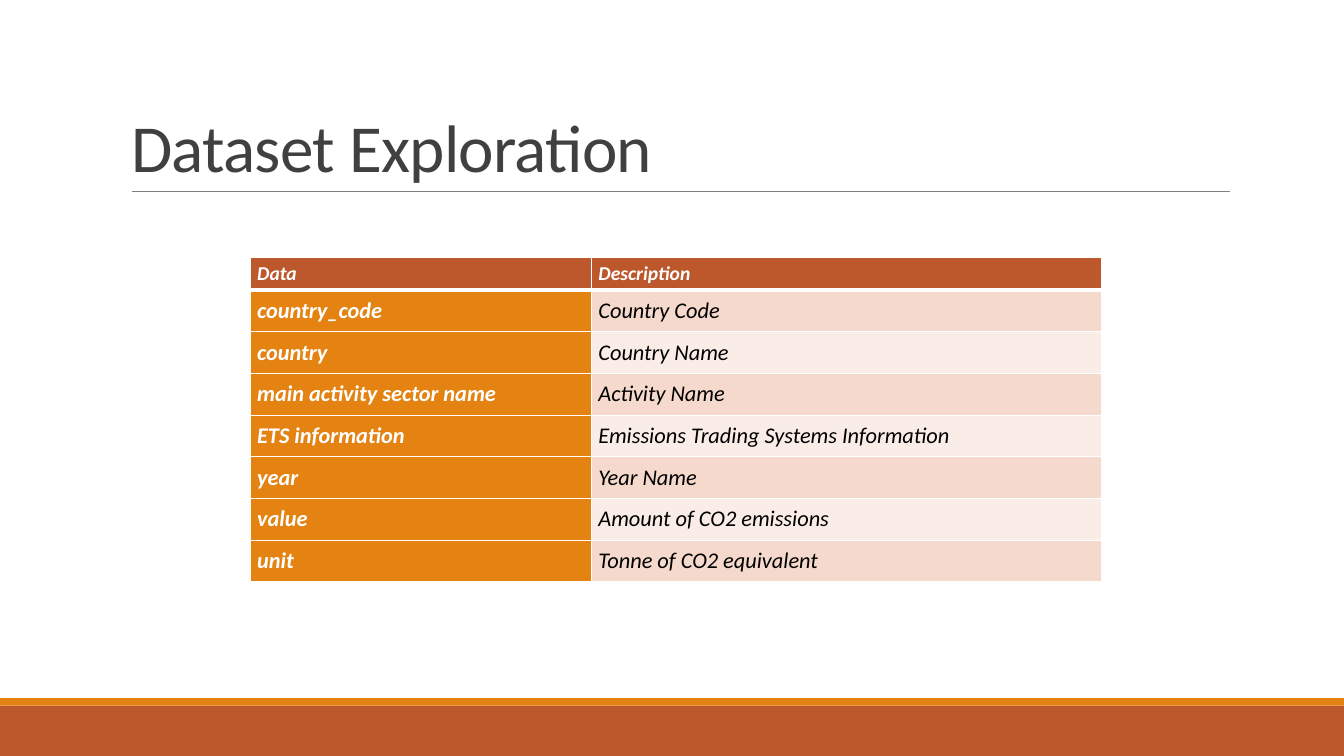
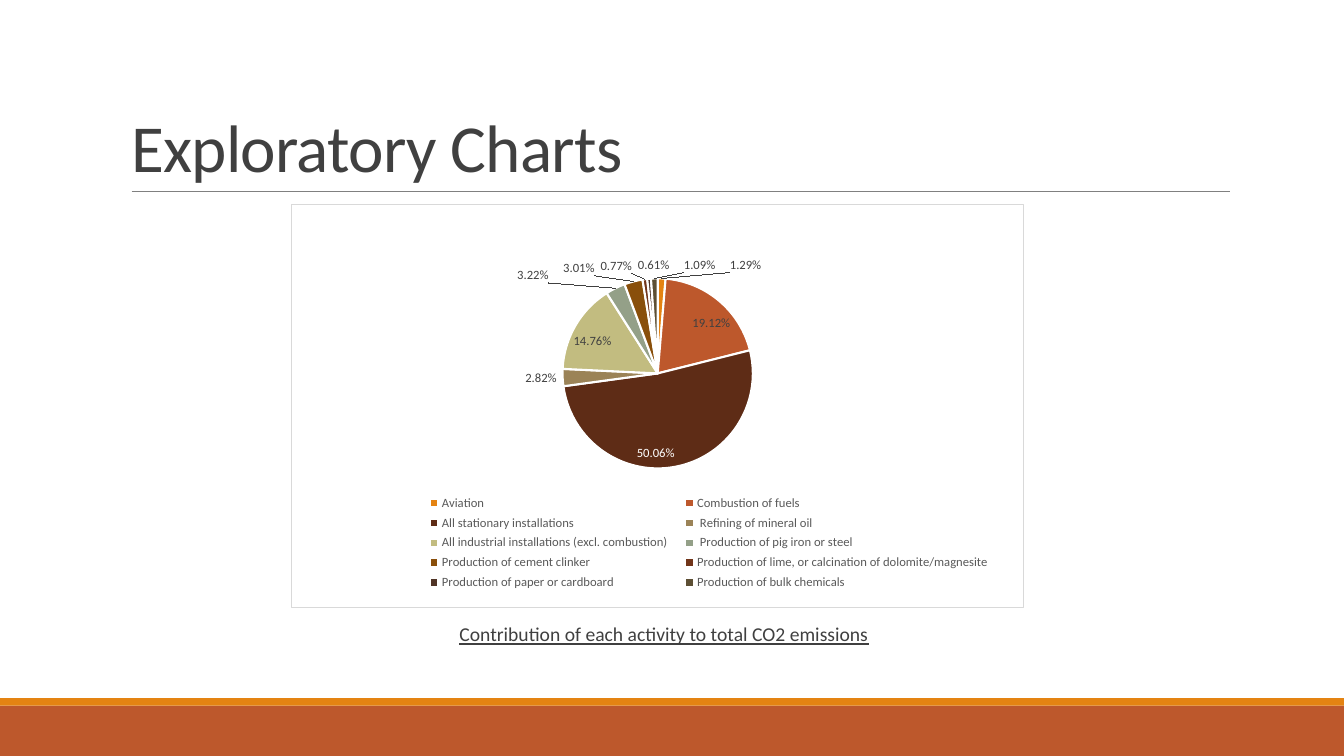
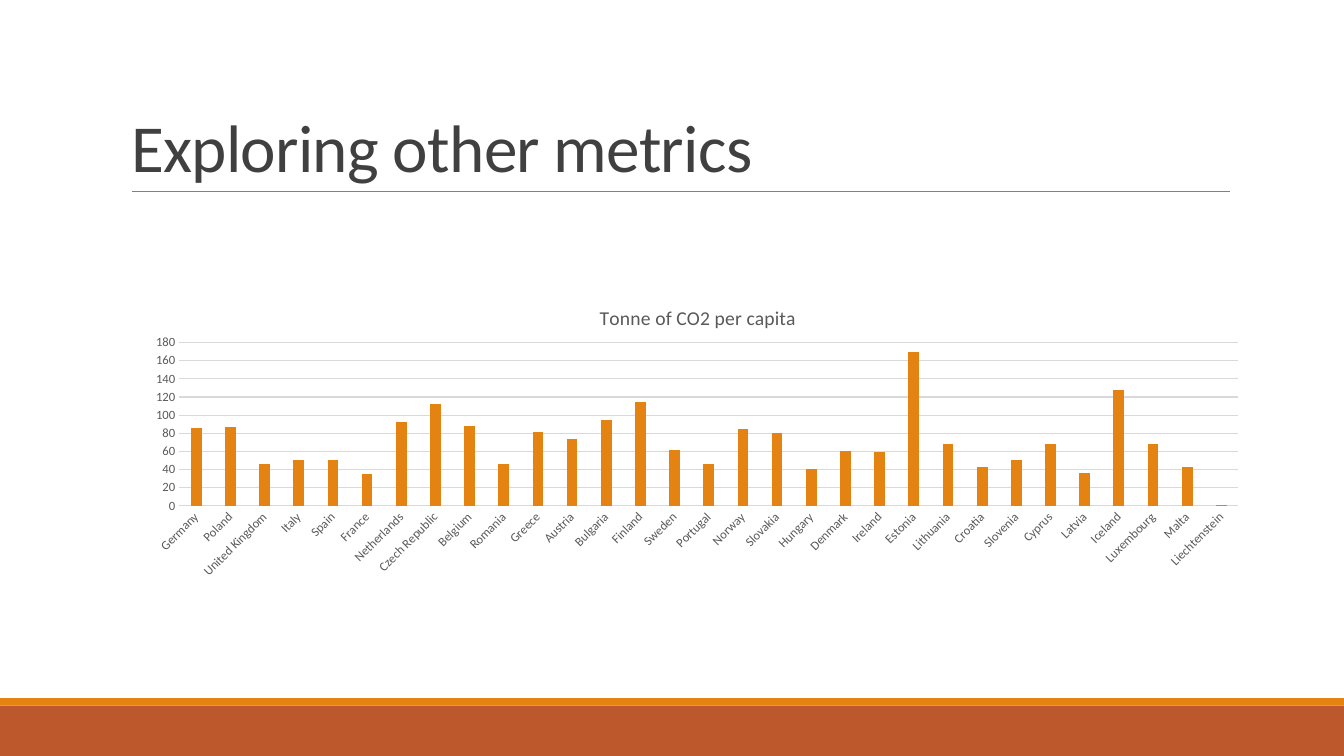
from lxml import etree
from pptx import Presentation
from pptx.chart.data import CategoryChartData
from pptx.dml.color import RGBColor
from pptx.enum.chart import XL_CHART_TYPE, XL_LABEL_POSITION, XL_LEGEND_POSITION, XL_TICK_MARK
from pptx.enum.shapes import MSO_CONNECTOR, MSO_SHAPE
from pptx.enum.text import MSO_ANCHOR, MSO_AUTO_SIZE, PP_ALIGN
from pptx.oxml import parse_xml
from pptx.oxml.ns import nsdecls, qn
from pptx.util import Cm, Pt

PIE, COLUMN = XL_CHART_TYPE.PIE, XL_CHART_TYPE.COLUMN_CLUSTERED
BEST_FIT, INSIDE_END = XL_LABEL_POSITION.BEST_FIT, XL_LABEL_POSITION.INSIDE_END
BOTTOM_LEGEND, NO_TICK = XL_LEGEND_POSITION.BOTTOM, XL_TICK_MARK.NONE
RECT, STRAIGHT = MSO_SHAPE.RECTANGLE, MSO_CONNECTOR.STRAIGHT
BOTTOM, MIDDLE = MSO_ANCHOR.BOTTOM, MSO_ANCHOR.MIDDLE
LEFT, CENTER, NO_FIT = PP_ALIGN.LEFT, PP_ALIGN.CENTER, MSO_AUTO_SIZE.NONE

ORANGE, RUST, DARK, GRAY, PALE = "E48312", "BD582C", "404040", "595959", "D9D9D9"
WHITE, BLACK = "FFFFFF", "000000"
BANDS = ["F5D9CC", "FAEDE7"]


def paint(target, color, **formats):
    """Colour a fill, line or font, then set its other format values."""
    if hasattr(target, "solid"):
        target.solid()
        target.fore_color.rgb = RGBColor.from_string(color)
    else:
        target.color.rgb = RGBColor.from_string(color)
    for key, value in formats.items():
        setattr(target, key, value)


def place_chart_part(parent, index, target="", **fractions):
    """Give a chart part a manual layout, in fractions of the chart."""
    old = parent.find(qn("c:layout"))
    if old is not None:
        parent.remove(old)
    layout = etree.Element(qn("c:layout"))
    manual = etree.SubElement(layout, qn("c:manualLayout"))
    if target:
        etree.SubElement(manual, qn("c:layoutTarget"), val=target)
    for key in "xy":
        etree.SubElement(manual, qn(f"c:{key}Mode"), val="edge")
    for key, value in fractions.items():
        etree.SubElement(manual, qn(f"c:{key}"), val=str(value))
    parent.insert(index, layout)


prs = Presentation()
prs.slide_width, prs.slide_height = Cm(33.87), Cm(19.05)
layout = prs.slide_layouts[5]

# Slides and their titles
slides = []
for title in ["Dataset Exploration", "Exploratory Charts", "Exploring other metrics"]:
    s = prs.slides.add_slide(layout)
    sp = s.shapes.title
    sp.left, sp.top, sp.width, sp.height = Cm(3.05), Cm(0.78), Cm(27.94), Cm(4.04)
    tf = sp.text_frame
    tf.text = title
    tf.vertical_anchor, tf.auto_size = BOTTOM, NO_FIT
    p = tf.paragraphs[0]
    p.alignment, p.line_spacing = LEFT, 0.85
    r = p.runs[0]
    paint(r.font, DARK, name="Calibri", size=Pt(48))
    r.font._element.set("spc", "-50")
    slides.append(s)
table_slide, pie_slide, column_slide = slides

# Bands and title rule, drawn once and moved to the shared layout
shared = []
for top, height, color in [(17.78, 1.27, RUST), (17.59, 0.19, ORANGE)]:
    sp = table_slide.shapes.add_shape(RECT, 0, Cm(top), prs.slide_width, Cm(height))
    sp.shadow.inherit = False
    paint(sp.fill, color)
    sp.line.fill.background()
    shared.append(sp)
rule = table_slide.shapes.add_connector(STRAIGHT, Cm(3.32), Cm(4.82), Cm(31), Cm(4.82))
paint(rule.line, "808080", width=Pt(0.5))
etree.SubElement(rule.element.spPr, qn("a:effectLst"))
shared.append(rule)
for sp in shared:
    layout.shapes.element.append(sp.element)

# Table of columns in the dataset
rows = [
    ("Data", "Description"),
    ("country_code", "Country Code"),
    ("country", "Country Name"),
    ("main activity sector name", "Activity Name"),
    ("ETS information", "Emissions Trading Systems Information"),
    ("year", "Year Name"),
    ("value", "Amount of CO2 emissions"),
    ("unit", "Tonne of CO2 equivalent"),
]
table = table_slide.shapes.add_table(len(rows), 2, Cm(6.3), Cm(6.48), Cm(21.47), Cm(8.18)).table
table.columns[0].width, table.columns[1].width = Cm(8.6), Cm(12.87)
for i, row in enumerate(rows):
    table.rows[i].height = Cm(1.05 if i else 0.83)
    for j, text in enumerate(row):
        cell = table.cell(i, j)
        cell.text = text
        cell.vertical_anchor = MIDDLE
        cell.margin_left = cell.margin_right = Cm(0.18)
        cell.margin_top = cell.margin_bottom = 0
        for side in "LRTB":
            heavy = (i, side) in [(0, "B"), (1, "T")]
            cell._tc.get_or_add_tcPr().append(parse_xml(
                f'<a:ln{side} {nsdecls("a")} w="{Pt(3 if heavy else 1)}"><a:solidFill>'
                f'<a:srgbClr val="{WHITE}"/></a:solidFill></a:ln{side}>'))
        strong = i == 0 or j == 0
        paint(cell.fill, RUST if i == 0 else ORANGE if j == 0 else BANDS[(i - 1) % 2])
        paint(cell.text_frame.paragraphs[0].runs[0].font, WHITE if strong else BLACK,
              name="Calibri", size=Pt(16 if i else 14), bold=strong, italic=True)

# Pie of activities
activities = [
    ("Aviation", 0.0129, ORANGE),
    ("Combustion of fuels", 0.1912, RUST),
    ("All stationary installations", 0.5006, "5E2C16"),
    (" Refining of mineral oil", 0.0282, "9B8357"),
    ("All industrial installations (excl. combustion)", 0.1476, "C2BC80"),
    (" Production of pig iron or steel", 0.0322, "94A088"),
    ("Production of cement clinker", 0.0301, "894F0B"),
    ("Production of lime, or calcination of dolomite/magnesite", 0.0077, "71351A"),
    ("Production of paper or cardboard", 0.0061, "503426"),
    ("Production of bulk chemicals", 0.0109, "5D4F34"),
]
data = CategoryChartData(number_format="0.00%")
data.categories = [name for name, _, _ in activities]
data.add_series("Series 1", [value for _, value, _ in activities])
chart = pie_slide.shapes.add_chart(PIE, Cm(7.34), Cm(5.13), Cm(18.47), Cm(10.19), data).chart
paint(chart.font, BLACK, name="Calibri", size=Pt(10))
chart.has_title = False
chart.element.find(qn("c:chart")).addnext(parse_xml(
    f'<c:spPr {nsdecls("c", "a")}><a:solidFill><a:srgbClr val="{WHITE}"/></a:solidFill>'
    f'<a:ln w="{Pt(0.75)}"><a:solidFill><a:srgbClr val="{PALE}"/></a:solidFill></a:ln></c:spPr>'))
place_chart_part(chart.element.find(".//" + qn("c:plotArea")), 0, "inner",
                 x=0.37, y=0.17, w=0.26, h=0.5)

chart.has_legend = True
legend = chart.legend
legend.position, legend.include_in_layout = BOTTOM_LEGEND, False
paint(legend.font, GRAY, name="Calibri", size=Pt(9))
place_chart_part(chart.element.find(".//" + qn("c:legend")), 1, x=0.17, y=0.71, w=0.8, h=0.26)

plot = chart.plots[0]
plot.vary_by_categories = True
series = plot.series[0]
for i, (_, _, color) in enumerate(activities):
    point = series.points[i]
    paint(point.format.fill, color)
    paint(point.format.line, WHITE, width=Pt(1.5))
labels = series.data_labels
labels.show_value, labels.position = True, BEST_FIT
labels.number_format, labels.number_format_is_linked = "0.00%", False
paint(labels.font, DARK, name="Calibri", size=Pt(9))
largest = series.points[2].data_label
paint(largest.font, WHITE, name="Calibri", size=Pt(9))
largest.position = INSIDE_END

caption = pie_slide.shapes.add_textbox(Cm(3.17), Cm(15.62), Cm(27.13), Cm(1.57))
tf = caption.text_frame
tf.word_wrap = True
p = tf.paragraphs[0]
p.alignment, p.line_spacing = CENTER, 0.9
r = p.add_run()
r.text = "Contribution of each activity to total CO2 emissions"
paint(r.font, DARK, name="Calibri", size=Pt(14), underline=True)

# Columns of emissions by country
per_capita = {
    "Germany": 86, "Poland": 87, "United Kingdom": 46, "Italy": 50, "Spain": 51,
    "France": 35, "Netherlands": 92, "Czech Republic": 112, "Belgium": 88,
    "Romania": 46, "Greece": 81, "Austria": 74, "Bulgaria": 95, "Finland": 114,
    "Sweden": 61, "Portugal": 46, "Norway": 85, "Slovakia": 80, "Hungary": 41,
    "Denmark": 60, "Ireland": 59, "Estonia": 170, "Lithuania": 68, "Croatia": 43,
    "Slovenia": 51, "Cyprus": 68, "Latvia": 36, "Iceland": 128, "Luxembourg": 68,
    "Malta": 43, "Liechtenstein": 1,
}
data = CategoryChartData()
data.categories = list(per_capita)
data.add_series("Series 1", list(per_capita.values()))
chart = column_slide.shapes.add_chart(COLUMN, Cm(3.38), Cm(7.11), Cm(28.4), Cm(7.62), data).chart
paint(chart.font, BLACK, name="Calibri", size=Pt(10))
chart.has_legend = False
chart.has_title = True
tf = chart.chart_title.text_frame
tf.text = "Tonne of CO2 per capita"
paint(tf.paragraphs[0].runs[0].font, GRAY, name="Calibri", size=Pt(14), bold=False)
place_chart_part(chart.element.find(".//" + qn("c:title")), 1, x=0.41, y=0.06)
place_chart_part(chart.element.find(".//" + qn("c:plotArea")), 0, "inner",
                 x=0.04, y=0.2, w=0.94, h=0.54)

plot = chart.plots[0]
plot.gap_width, plot.overlap, plot.vary_by_categories = 219, -27, False
paint(plot.series[0].format.fill, ORANGE)
countries, tonnes = chart.category_axis, chart.value_axis
for axis in (countries, tonnes):
    axis.major_tick_mark = axis.minor_tick_mark = NO_TICK
    paint(axis.tick_labels.font, GRAY, name="Calibri", size=Pt(9))
paint(countries.format.line, PALE, width=Pt(0.75))
countries._element.find(qn("c:txPr")).find(qn("a:bodyPr")).set("rot", "-2700000")
tonnes.minimum_scale, tonnes.maximum_scale, tonnes.major_unit = 0, 180, 20
tonnes.format.line.fill.background()
paint(tonnes.major_gridlines.format.line, PALE, width=Pt(0.75))

prs.save("out.pptx")
